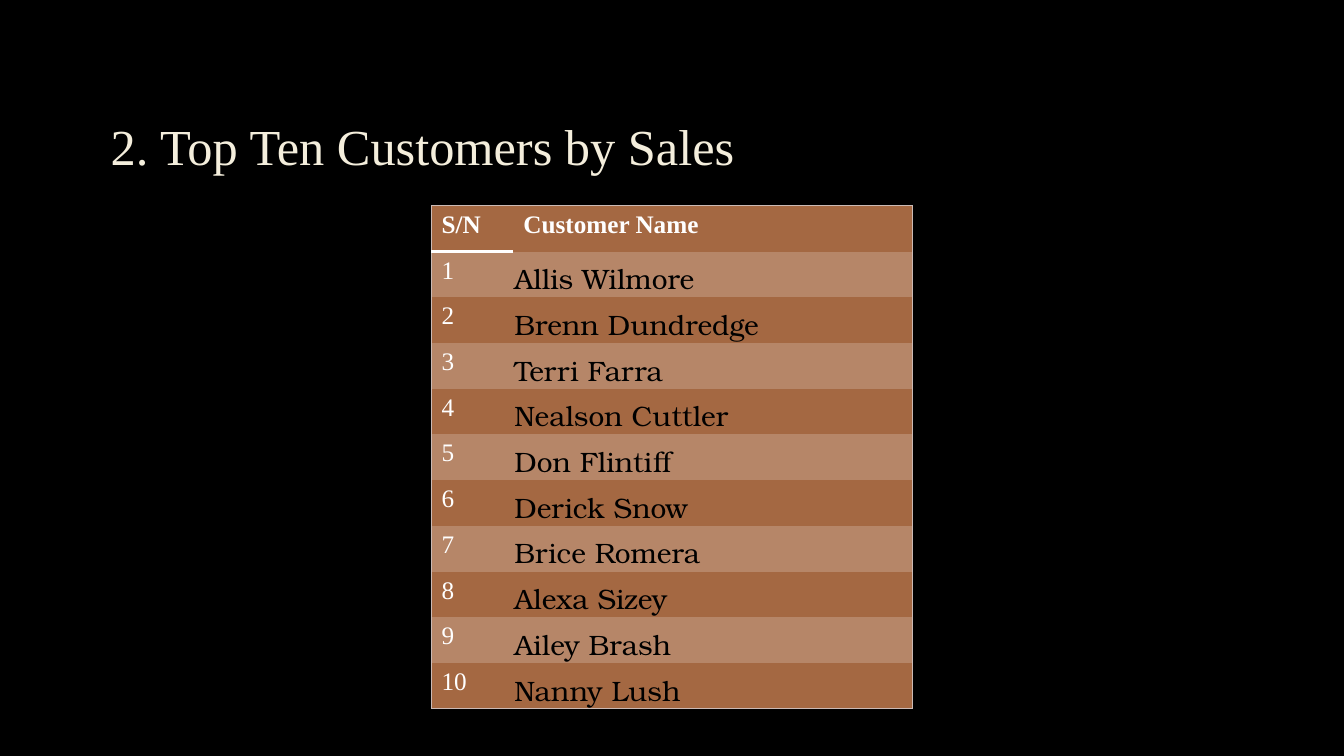
import pptx
import pptx.dml.color
import pptx.enum.text
import pptx.oxml
import pptx.oxml.ns
import pptx.util

Pt = pptx.util.Pt
RGBColor = pptx.dml.color.RGBColor
Anchor = pptx.enum.text.MSO_ANCHOR

BLACK = RGBColor(0x00, 0x00, 0x00)
WHITE = RGBColor(0xFF, 0xFF, 0xFF)
CREAM = RGBColor(0xF4, 0xEE, 0xDC)
BROWN = RGBColor(0xA4, 0x68, 0x42)
LIGHT_BROWN = RGBColor(0xB6, 0x86, 0x68)
FRAME = RGBColor(0xCB, 0xBA, 0xB5)

SERIF = "Times New Roman"
NAME_FONT = "TeX Gyre Bonum"
PLAIN_TABLE_STYLE = "{2D5ABB26-0587-4C30-8999-92F81FD0307C}"

HEADINGS = ["S/N", "Customer Name"]
CUSTOMERS = [
    "Allis Wilmore", "Brenn Dundredge", "Terri Farra", "Nealson Cuttler", "Don Flintiff",
    "Derick Snow", "Brice Romera", "Alexa Sizey", "Ailey Brash", "Nanny Lush",
]
COLUMN_WIDTHS = [58.5, 285]
ROW_HEIGHT = 32.66


def add_span(para, text, font, size, color, bold=False):
    span = para.add_run()
    span.text = text
    span.font.name = font
    span.font.size = Pt(size)
    span.font.bold = bold
    span.font.color.rgb = color


def add_title(page, text):
    box = page.shapes.add_textbox(Pt(72), Pt(66), Pt(815), Pt(81))
    frame = box.text_frame
    frame.word_wrap = True
    frame.vertical_anchor = Anchor.MIDDLE
    para = frame.paragraphs[0]
    para.line_spacing = 0.9
    add_span(para, text, SERIF, 36, CREAM)


def add_border(cell, side, color, width):
    namespace = pptx.oxml.ns.nsdecls("a")
    line = pptx.oxml.parse_xml(
        f'<a:ln{side} {namespace} w="{Pt(width)}"><a:solidFill>'
        f'<a:srgbClr val="{color}"/></a:solidFill></a:ln{side}>'
    )
    cell._tc.get_or_add_tcPr().append(line)


def frame_cell(cell, row, column, last_row):
    add_border(cell, "R" if column else "L", FRAME, 0.75)
    if row == 0:
        add_border(cell, "T", FRAME, 0.75)
        if column == 0:
            add_border(cell, "B", WHITE, 2)
    elif row == last_row:
        add_border(cell, "B", FRAME, 0.75)


def fill_cell(cell, text, row, column):
    para = cell.text_frame.paragraphs[0]
    if row and column:
        cell.vertical_anchor = Anchor.BOTTOM
        cell.margin_left = cell.margin_right = cell.margin_top = Pt(0.75)
        cell.margin_bottom = Pt(0)
        add_span(para, text, NAME_FONT, 20, BLACK)
    else:
        add_span(para, text, SERIF, 18, WHITE, bold=row == 0)
    cell.fill.solid()
    cell.fill.fore_color.rgb = LIGHT_BROWN if row % 2 else BROWN


def add_customer_table(page):
    rows = [HEADINGS] + [[str(rank), name] for rank, name in enumerate(CUSTOMERS, 1)]
    holder = page.shapes.add_table(
        len(rows), len(HEADINGS), Pt(308.2), Pt(147),
        Pt(sum(COLUMN_WIDTHS)), Pt(ROW_HEIGHT * len(rows)),
    )
    table = holder.table
    table.horz_banding = False
    table._tbl.tblPr.find(pptx.oxml.ns.qn("a:tableStyleId")).text = PLAIN_TABLE_STYLE
    for column, width in zip(table.columns, COLUMN_WIDTHS):
        column.width = Pt(width)
    for row, texts in enumerate(rows):
        table.rows[row].height = Pt(ROW_HEIGHT)
        for column, text in enumerate(texts):
            cell = table.cell(row, column)
            frame_cell(cell, row, column, len(rows) - 1)
            fill_cell(cell, text, row, column)


def main():
    deck = pptx.Presentation()
    deck.slide_width = Pt(960)
    deck.slide_height = Pt(540)
    page = deck.slides.add_slide(deck.slide_layouts[6])
    page.background.fill.solid()
    page.background.fill.fore_color.rgb = BLACK
    add_title(page, "2. Top Ten Customers by Sales")
    add_customer_table(page)
    deck.save("out.pptx")


if __name__ == "__main__":
    main()
